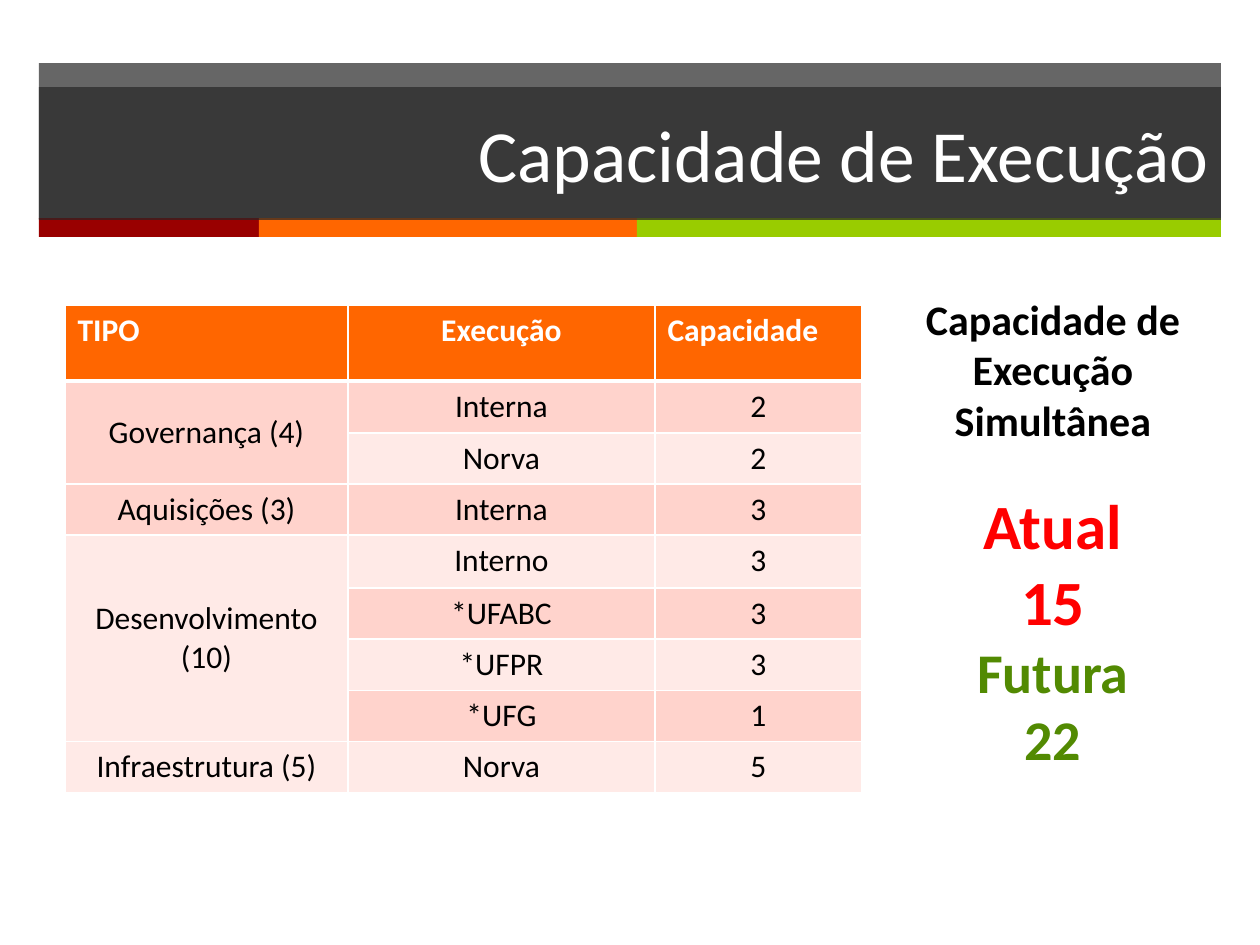
from itertools import accumulate

from lxml import etree
from pptx import Presentation
from pptx.dml.color import RGBColor
from pptx.enum.shapes import MSO_SHAPE
from pptx.enum.text import MSO_ANCHOR, PP_ALIGN
from pptx.oxml.ns import qn
from pptx.util import Pt

RECTANGLE = MSO_SHAPE.RECTANGLE
LEFT, CENTER, RIGHT = PP_ALIGN.LEFT, PP_ALIGN.CENTER, PP_ALIGN.RIGHT
TOP, MIDDLE = MSO_ANCHOR.TOP, MSO_ANCHOR.MIDDLE
EMU_PER_PX = 914400 / 126
TITLE_ONLY = 5
COLORS = {
    "white": "FFFFFF", "black": "000000", "band": "262626", "wine": "990000",
    "orange": "FF6600", "lime": "99CC00", "rose": "FFD3CC", "blush": "FFEAE7",
    "red": "FF0000", "green": "528A02",
}


def px(*lengths):
    return [round(length * EMU_PER_PX) for length in lengths]


class SlideBuilder:
    """Hold the deck style and the current slide, and add elements to it."""

    font_name = "Calibri"

    def __init__(self, deck):
        self.slide = deck.slides.add_slide(deck.slide_layouts[TITLE_ONLY])

    def fill(self, target, color, alpha=None):
        target.fill.solid()
        target.fill.fore_color.rgb = RGBColor.from_string(COLORS[color])
        if alpha:
            srgb = target.element.spPr.find(".//" + qn("a:srgbClr"))
            etree.SubElement(srgb, qn("a:alpha"), val=str(alpha * 1000))

    def paragraph(self, paragraph, text, size, color, bold=False, **layout):
        paragraph.text = text
        for name, value in layout.items():
            setattr(paragraph, name, value)
        font = paragraph.runs[0].font
        for name, value in {"name": self.font_name, "size": Pt(size), "bold": bold}.items():
            setattr(font, name, value)
        font.color.rgb = RGBColor.from_string(COLORS[color])

    def bar(self, box, color, alpha=None):
        bar = self.slide.shapes.add_shape(RECTANGLE, *px(*box))
        bar.shadow.inherit = False
        bar.line.fill.background()
        self.fill(bar, color, alpha)

    def title(self, box, text):
        title = self.slide.shapes.title
        title.element.getparent().append(title.element)
        for name, value in zip(("left", "top", "width", "height"), px(*box)):
            setattr(title, name, value)
        self.fill(title, "band", 70)
        title.text_frame.vertical_anchor = MIDDLE
        self.paragraph(title.text_frame.paragraphs[0], text, 42, "white", alignment=RIGHT)

    def text(self, box, lines):
        frame = self.slide.shapes.add_textbox(*px(*box)).text_frame
        frame.word_wrap = True
        for index, (text, size, color, gap) in enumerate(lines):
            paragraph = frame.add_paragraph() if index else frame.paragraphs[0]
            self.paragraph(paragraph, text, size, color, True,
                           alignment=CENTER, space_before=Pt(gap))

    def borders(self, cell, widths):
        properties = cell._tc.get_or_add_tcPr()
        for side, width in widths.items():
            line = etree.SubElement(properties, qn("a:ln" + side), w=str(Pt(width)))
            solid = etree.SubElement(line, qn("a:solidFill"))
            etree.SubElement(solid, qn("a:srgbClr"), val=COLORS["white"])

    def cell(self, cell, text, row, column):
        header = row == 0
        self.borders(cell, {"L": 1, "R": 1, "T": 3 if row == 1 else 1, "B": 3 if header else 1})
        self.fill(cell, "orange" if header else ("blush", "rose")[row % 2])
        cell.vertical_anchor = TOP if header or column else MIDDLE
        if text:
            self.paragraph(cell.text_frame.paragraphs[0], text, 18,
                           "white" if header else "black", header,
                           alignment=LEFT if header and column != 1 else CENTER)

    def table(self, left, top, widths, heights, rows, spans):
        table = self.slide.shapes.add_table(
            len(rows), len(widths), *px(left, top, sum(widths), sum(heights))).table
        for column, width in zip(table.columns, px(*widths)):
            column.width = width
        for row, height in zip(table.rows, px(*heights)):
            row.height = height
        for first, last in spans:
            table.cell(first, 0).merge(table.cell(last, 0))
        for row, texts in enumerate(rows):
            for column, text in enumerate(texts):
                self.cell(table.cell(row, column), text, row, column)


def main():
    deck = Presentation()
    deck.slide_width, deck.slide_height = px(1260, 945)
    builder = SlideBuilder(deck)

    left, band_width = 39, 1182
    builder.bar((left, 63, band_width, 156), "band", 70)
    stripe_widths = [220, 378, 584]
    stripe_lefts = accumulate(stripe_widths, initial=left)
    for stripe_left, width, color in zip(stripe_lefts, stripe_widths, ("wine", "orange", "lime")):
        builder.bar((stripe_left, 218, width, 19), color)
    builder.title((left, 87, band_width, 133), "Capacidade de Execução")

    capacity_rows = [
        ("TIPO", "Execução", "Capacidade"),
        ("Governança (4)", "Interna", "2"),
        ("", "Norva", "2"),
        ("Aquisições (3)", "Interna", "3"),
        ("Desenvolvimento (10)", "Interno", "3"),
        ("", "*UFABC", "3"),
        ("", "*UFPR", "3"),
        ("", "*UFG", "1"),
        ("Infraestrutura (5)", "Norva", "5"),
    ]
    builder.table(65, 305, [283, 307, 207], [76, 52, 51, 51, 53, 51, 51, 51, 51],
                  capacity_rows, [(1, 2), (4, 7)])

    builder.text((885, 287, 336, 496), [
        ("Capacidade de Execução Simultânea", 24, "black", 0),
        ("Atual", 36, "red", 24),
        ("15", 36, "red", 0),
        ("Futura", 32, "green", 0),
        ("22", 32, "green", 0),
    ])
    deck.save("out.pptx")


if __name__ == "__main__":
    main()
